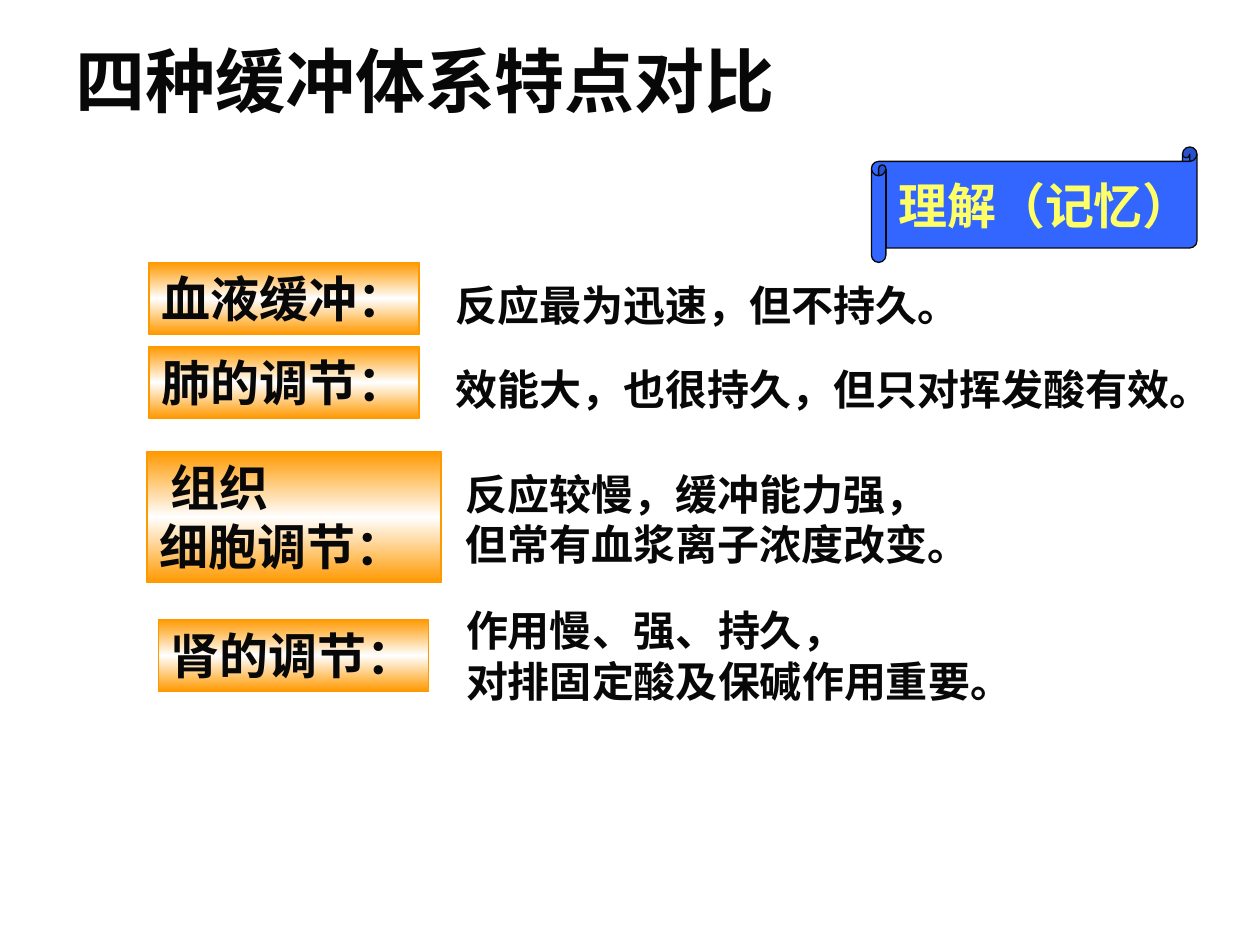
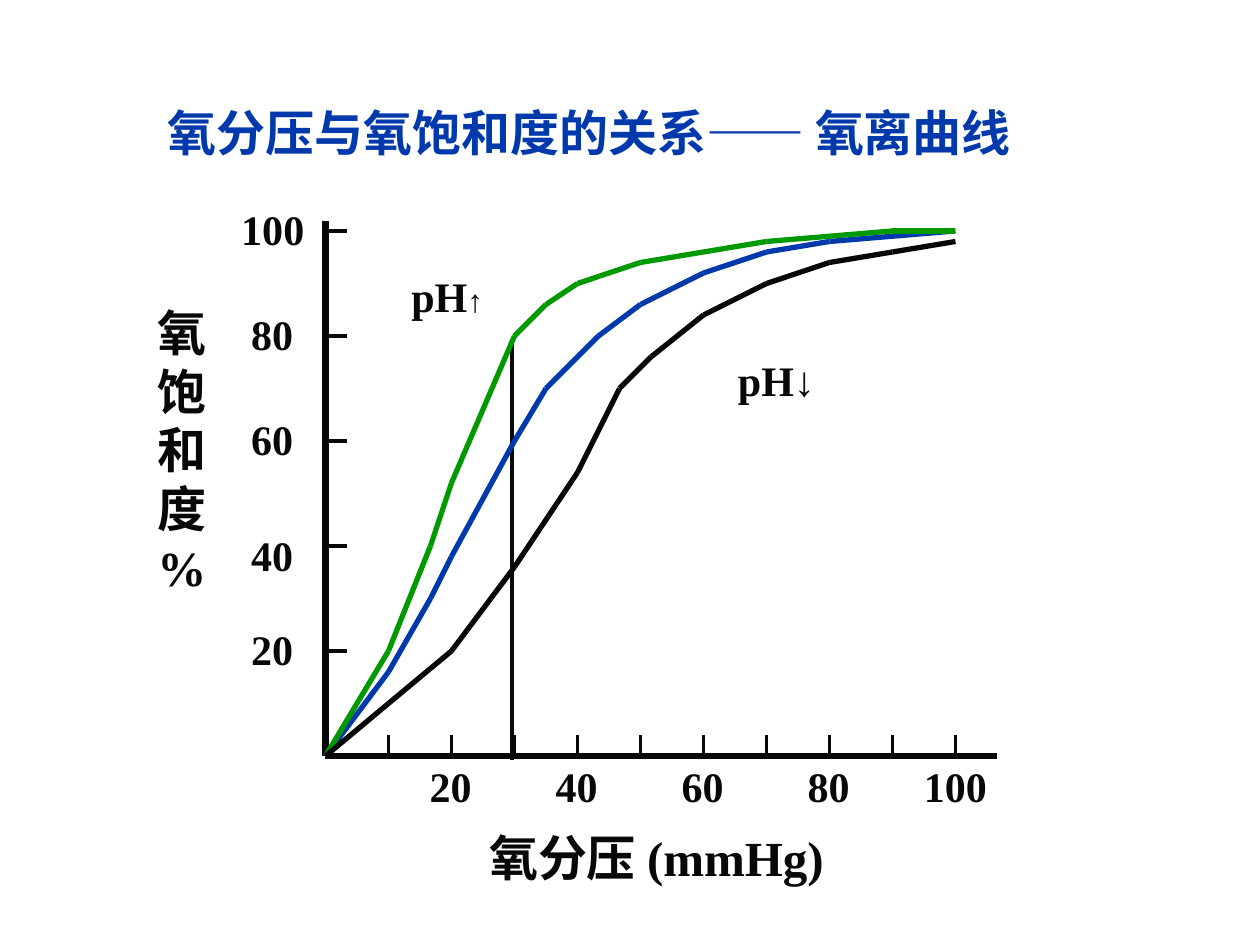
from copy import deepcopy
from dataclasses import dataclass
from itertools import pairwise

from lxml.etree import SubElement
from pptx import Presentation
from pptx.dml.color import RGBColor
from pptx.enum.shapes import MSO_CONNECTOR, MSO_SHAPE
from pptx.enum.text import MSO_ANCHOR, MSO_AUTO_SIZE, PP_ALIGN
from pptx.oxml.ns import qn
from pptx.util import Emu, Inches, Pt

# The slide is a grid of 120 columns by 90 rows, each 1/12 inch.
COLUMNS, ROWS = 120, 90
CELL = Inches(10) // COLUMNS

INK, BLUE, GREEN = "080808", "0039AC", "009900"
ORANGE, WHITE = "FF9900", "FFFFFF"
SCROLL_BLUE, SCROLL_YELLOW = "3366FF", "FFFF66"
SANS, SERIF = "Arial", "Times New Roman"
LABEL_SIZE, NOTE_SIZE = 28, 24

# Oxygen chart: origin and scale in grid cells
ORIGIN_COLUMN, ORIGIN_ROW = 31, 72
COLUMNS_PER_MMHG, ROWS_PER_PERCENT = 0.6, 0.5
TICK = 2


@dataclass(frozen=True)
class Block:
    """Text with its place in grid cells and its type style."""
    text: str
    left: float
    top: float
    width: float
    height: float
    size: int = NOTE_SIZE
    font: str = SERIF
    color: str = INK
    wrap: bool = False


@dataclass(frozen=True)
class Buffer:
    """One buffer system: its framed label and its description."""
    label: Block
    note: Block


@dataclass(frozen=True)
class Curve:
    """Saturation curve as (mmHg, percent) points."""
    color: str
    points: tuple


def label(text: str, left: float, top: float, width: float = 25.7,
          height: float = 6.86, wrap: bool = False) -> Block:
    return Block(text, left, top, width, height, LABEL_SIZE, SANS, wrap=wrap)


def note(text: str, left: float, top: float, width: float, height: float = 6) -> Block:
    return Block(text, left, top, width, height, font=SANS)


BUFFERS = (
    Buffer(label("血液缓冲：", 14.2, 25),
           note("反应最为迅速，但不持久。", 42.2, 26, 50.4)),
    Buffer(label("肺的调节：", 14.2, 33),
           note("效能大，也很持久，但只对挥发酸有效。", 42.2, 34, 74.4)),
    Buffer(label(" 组织\n细胞调节：", 14, 43, 28, 12.5, wrap=True),
           note("反应较慢，缓冲能力强，\n但常有血浆离子浓度改变。", 43.2, 44, 50.4, 10.8)),
    Buffer(label("肾的调节：", 15.1, 59),
           note("作用慢、强、持久，\n对排固定酸及保碱作用重要。", 43.2, 57, 54.4, 10.8)),
)

CURVES = (
    Curve(BLUE, ((0, 0), (10, 16), (16.67, 30), (20, 38), (30, 60), (35, 70),
                 (43.33, 80), (50, 86), (60, 92), (70, 96), (80, 98), (100, 100))),
    Curve(GREEN, ((0, 0), (10, 20), (16.67, 40), (20, 52), (30, 80), (35, 86),
                  (40, 90), (50, 94), (70, 98), (90, 100), (100, 100))),
    Curve(INK, ((0, 0), (10, 10), (20, 20), (30, 36), (40, 54), (46.67, 70),
                (51.67, 76), (60, 84), (70, 90), (80, 94), (90, 96), (100, 98))),
)


def grid(*cells: float) -> list[Emu]:
    return [Emu(round(cell * CELL)) for cell in cells]


def rgb(color: str) -> RGBColor:
    return RGBColor.from_string(color)


def place(block: Block) -> list[Emu]:
    return grid(block.left, block.top, block.width, block.height)


def write(shape, block: Block, anchor=MSO_ANCHOR.TOP, auto_size=MSO_AUTO_SIZE.SHAPE_TO_FIT_TEXT):
    frame = shape.text_frame
    frame.text = block.text
    frame.word_wrap = block.wrap
    frame.auto_size = auto_size
    frame.vertical_anchor = anchor
    for paragraph in frame.paragraphs:
        paragraph.alignment = PP_ALIGN.LEFT
        font = paragraph.font
        font.name, font.size, font.bold = block.font, Pt(block.size), True
        font.color.rgb = rgb(block.color)
    return shape


def add_text(slide, block: Block):
    return write(slide.shapes.add_textbox(*place(block)), block)


def add_outlined(slide, kind: MSO_SHAPE, block: Block, line_color: str):
    shape = slide.shapes.add_shape(kind, *place(block))
    shape.shadow.inherit = False
    shape.line.color.rgb = rgb(line_color)
    shape.line.width = Pt(0.75)
    return shape


def add_glowing_label(slide, block: Block) -> None:
    """Frame a label with a vertical orange-white-orange gradient."""
    shape = add_outlined(slide, MSO_SHAPE.RECTANGLE, block, ORANGE)
    shape.fill.gradient()
    shape.fill.gradient_angle = 90
    stop_list = next(shape.element.iter(qn("a:gsLst")))
    stop_list.append(deepcopy(stop_list[0]))
    for stop, position, color in zip(shape.fill.gradient_stops, (0, 0.5, 1),
                                     (ORANGE, WHITE, ORANGE)):
        stop.position = position
        stop.color.rgb = rgb(color)
    write(shape, block)


def add_line(slide, start: tuple, end: tuple, width: float, color: str = INK) -> None:
    line = slide.shapes.add_connector(MSO_CONNECTOR.STRAIGHT, *grid(*start, *end))
    line.line.color.rgb = rgb(color)
    line.line.width = Pt(width)
    SubElement(line.element.spPr, qn("a:effectLst"))


def plot(mmhg: float, percent: float) -> tuple[float, float]:
    """Grid position of a data point."""
    return (ORIGIN_COLUMN + mmhg * COLUMNS_PER_MMHG,
            ORIGIN_ROW - percent * ROWS_PER_PERCENT)


def add_scale_number(slide, value: int, center: float, top: float) -> None:
    width = 8.4 if value >= 100 else 6.5
    add_text(slide, Block(str(value), center - width / 2, top, width, 6))


def add_axes(slide) -> None:
    origin = plot(0, 0)
    add_line(slide, (ORIGIN_COLUMN, 21), origin, 4)
    add_line(slide, (95, ORIGIN_ROW), origin, 4)
    for percent in range(20, 101, 20):
        column, row = plot(0, percent)
        add_line(slide, (column, row), (column + TICK, row), 2)
        lowered = 1 if percent == 40 else 0
        add_scale_number(slide, percent, 26, row - 3.2 + lowered)
    for mmhg in range(10, 101, 10):
        column, row = plot(mmhg, 0)
        add_line(slide, (column, row - TICK), (column, row), 2)
        if mmhg % 20 == 0:
            add_scale_number(slide, mmhg, column, row - 0.2)


def build_buffer_comparison(slide) -> None:
    add_text(slide, Block("四种缓冲体系特点对比", 6, 3, 74, 9.2, 40, SANS, wrap=True))
    for buffer in BUFFERS:
        add_glowing_label(slide, buffer.label)
        add_text(slide, buffer.note)
    reminder = Block("理解（记忆）", 83, 14, 31, 11, LABEL_SIZE, color=SCROLL_YELLOW)
    scroll = add_outlined(slide, MSO_SHAPE.HORIZONTAL_SCROLL, reminder, INK)
    scroll.fill.solid()
    scroll.fill.fore_color.rgb = rgb(SCROLL_BLUE)
    write(scroll, reminder, MSO_ANCHOR.MIDDLE, MSO_AUTO_SIZE.NONE)


def build_oxygen_curve(slide) -> None:
    add_text(slide, Block("氧分压与氧饱和度的关系—— 氧离曲线", 14.8, 9.2, 89.2, 6.86,
                          LABEL_SIZE, color=BLUE, wrap=True))
    add_axes(slide)
    add_line(slide, (48.75, 32.8), (48.75, 72.4), 2)
    for curve in CURVES:
        for start, end in pairwise(curve.points):
            add_line(slide, plot(*start), plot(*end), 3, curve.color)
    add_text(slide, Block("\n".join("氧饱和度%"), 13.8, 28.2, 7.1, 29.3, LABEL_SIZE))
    add_text(slide, Block("氧分压 (mmHg)", 45.4, 78.2, 35.4, 6.86, LABEL_SIZE))
    add_text(slide, Block("pH↓", 69.1, 33.2, 9.7, 6))
    rising_ph = add_text(slide, Block("pH", 38, 25.2, 9.2, 6))
    arrow = rising_ph.text_frame.paragraphs[0].add_run()
    arrow.text = "↑"
    arrow.font.name, arrow.font.size = SANS, Pt(18)


def main() -> None:
    deck = Presentation()
    deck.slide_width, deck.slide_height = grid(COLUMNS, ROWS)
    blank = deck.slide_layouts[6]
    for build in (build_buffer_comparison, build_oxygen_curve):
        build(deck.slides.add_slide(blank))
    deck.save("out.pptx")


if __name__ == "__main__":
    main()
